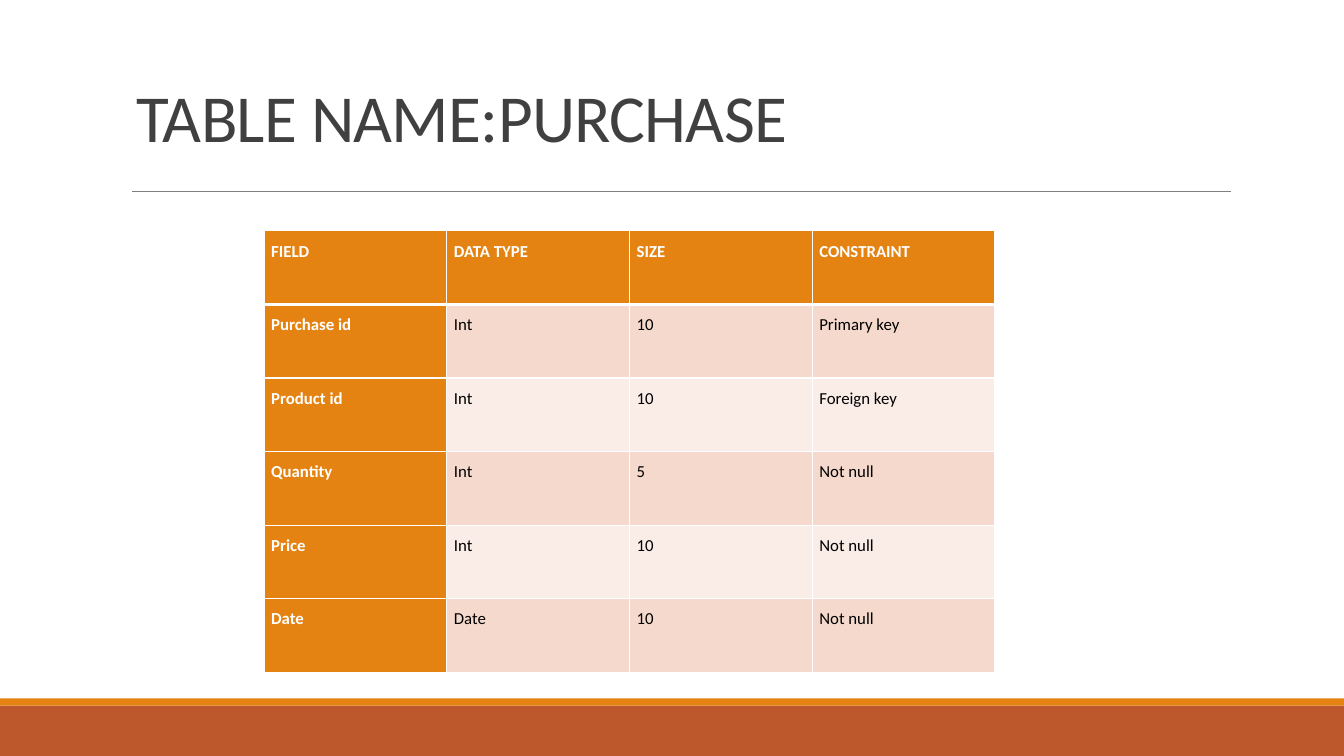
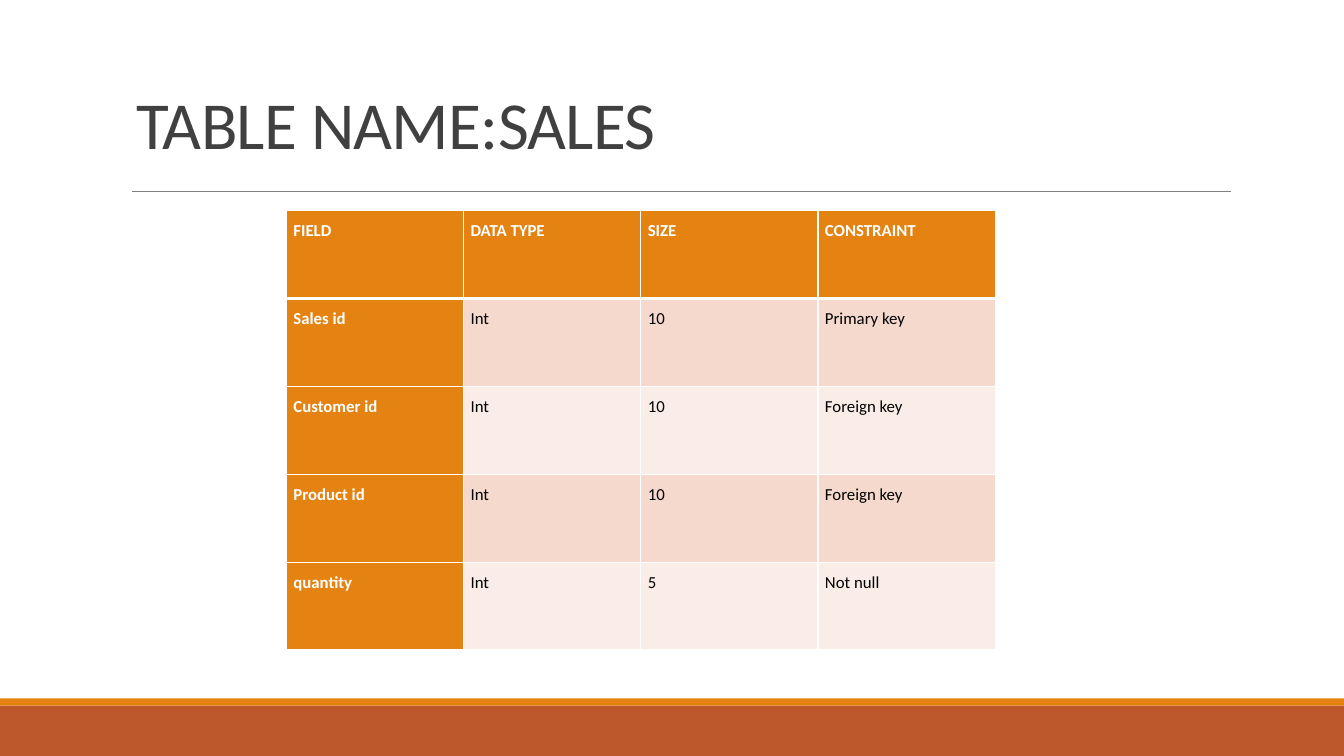
"""Build two slides that describe database tables."""
from lxml.etree import SubElement
from pptx import Presentation
from pptx.dml.color import RGBColor as Rgb
from pptx.enum.shapes import MSO_CONNECTOR as Link, MSO_SHAPE as Shape
from pptx.enum.text import MSO_ANCHOR as Anchor, MSO_AUTO_SIZE as Fit, PP_ALIGN as Align
from pptx.oxml.ns import qn
from pptx.util import Inches, Pt

WIDE, HIGH = 13.33, 7.5
HUES = {"rust": "BD582C", "amber": "E48312", "rule": "808080", "title": "404040",
        "odd": "F5D9CC", "even": "FAEDE7", "white": "FFFFFF", "black": "000000"}
BANDS = [("rust", 7, 0.5), ("amber", 6.93, 0.07)]
RULE = (1.31, 1.9, 12.21, 1.9)
HEAD = ("FIELD", "DATA TYPE", "SIZE", "CONSTRAINT")
PAGES = [
    {"title": "TABLE NAME:PURCHASE", "place": (1.25, 0.48, 10.83, 1.12),
     "grid": (2.62, 2.29, 7.25, 4.38),
     "rows": [("Purchase id", "Int", "10", "Primary key"),
              ("Product id", "Int", "10", "Foreign key"),
              ("Quantity", "Int", "5", "Not null"),
              ("Price", "Int", "10", "Not null"),
              ("Date", "Date", "10", "Not null")]},
    {"title": "TABLE NAME:SALES", "place": (1.25, 0.68, 10.83, 0.99),
     "grid": (2.84, 2.09, 7.03, 4.36),
     "rows": [("Sales id", "Int", "10", "Primary key"),
              ("Customer id", "Int", "10", "Foreign key"),
              ("Product id", "Int", "10", "Foreign key"),
              ("quantity", "Int", "5", "Not null")]},
]


def hue(name):
    """Return a named colour."""
    return Rgb.from_string(HUES[name])


def put(item, **form):
    """Set attributes from format values."""
    for key, value in form.items():
        setattr(item, key, value)


def style(par, size, tint, space, bold=False):
    """Format one paragraph and its runs."""
    put(par, alignment=Align.LEFT, line_spacing=space)
    for run in par.runs:
        put(run.font, name="Calibri", size=Pt(size), bold=bold)
        run.font.color.rgb = hue(tint)


def frame(slide):
    """Draw the bands and the title rule."""
    for tint, top, tall in BANDS:
        band = slide.shapes.add_shape(Shape.RECTANGLE, 0, Inches(top), Inches(WIDE), Inches(tall))
        band.shadow.inherit = False
        band.fill.solid()
        band.fill.fore_color.rgb = hue(tint)
        band.line.fill.background()
    rule = slide.shapes.add_connector(Link.STRAIGHT, *map(Inches, RULE))
    rule.line.color.rgb = hue("rule")
    rule.line.width = Pt(0.5)
    SubElement(rule._element.spPr, qn("a:effectLst"))


def head(slide, text, place):
    """Fill and place the title."""
    title = slide.shapes.title
    put(title, **dict(zip(("left", "top", "width", "height"), map(Inches, place))))
    put(title.text_frame, text=text, auto_size=Fit.NONE, word_wrap=True,
        vertical_anchor=Anchor.BOTTOM)
    par = title.text_frame.paragraphs[0]
    style(par, 48, "title", 0.85)
    par.runs[0].font._element.set("spc", "-50")


def edge(cell, row):
    """Give a cell white borders, thick under the header."""
    props = cell._tc.get_or_add_tcPr()
    thick = {"lnT": 1, "lnB": 0}
    for side in ("lnL", "lnR", "lnT", "lnB"):
        width = 3 if thick.get(side) == row else 1
        line = SubElement(props, qn("a:" + side), w=str(Pt(width)))
        fill = SubElement(line, qn("a:solidFill"))
        SubElement(fill, qn("a:srgbClr"), val=HUES["white"])


def table(slide, rows, place):
    """Add the field table on an even grid."""
    grid = slide.shapes.add_table(len(rows), len(HEAD), *map(Inches, place)).table
    for col in grid.columns:
        col.width = Inches(place[2] / len(HEAD))
    for r, texts in enumerate(rows):
        grid.rows[r].height = Inches(place[3] / len(rows))
        for c, text in enumerate(texts):
            cell = grid.cell(r, c)
            key = r == 0 or c == 0
            put(cell, text=text, margin_left=Inches(0.07), margin_right=Inches(0.07),
                margin_top=0, margin_bottom=0, vertical_anchor=Anchor.TOP)
            edge(cell, r)
            cell.fill.solid()
            cell.fill.fore_color.rgb = hue("amber" if key else "odd" if r % 2 else "even")
            style(cell.text_frame.paragraphs[0], 12, "white" if key else "black", 1.5, key)


def main():
    """Build and save the slides."""
    deck = Presentation()
    put(deck, slide_width=Inches(WIDE), slide_height=Inches(HIGH))
    for page in PAGES:
        slide = deck.slides.add_slide(deck.slide_layouts[5])
        frame(slide)
        head(slide, page["title"], page["place"])
        table(slide, [HEAD, *page["rows"]], page["grid"])
    deck.save("out.pptx")


if __name__ == "__main__":
    main()
